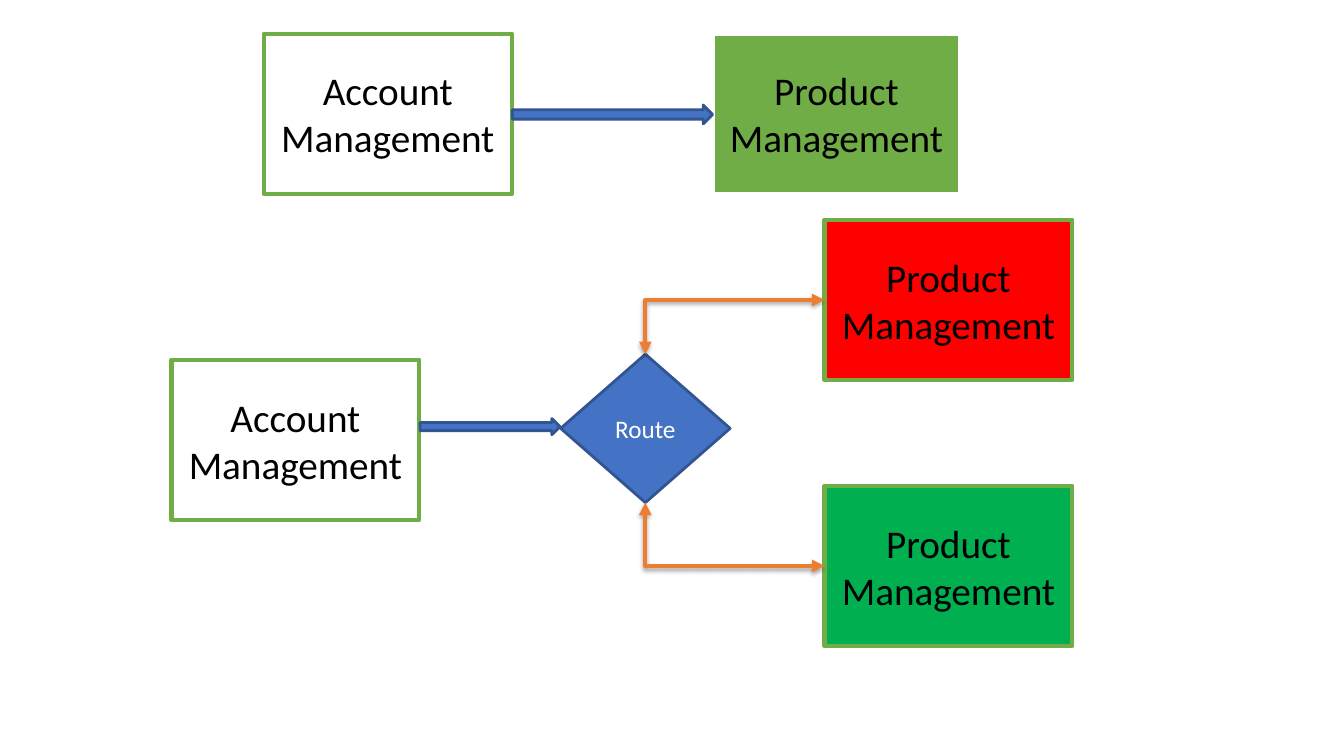
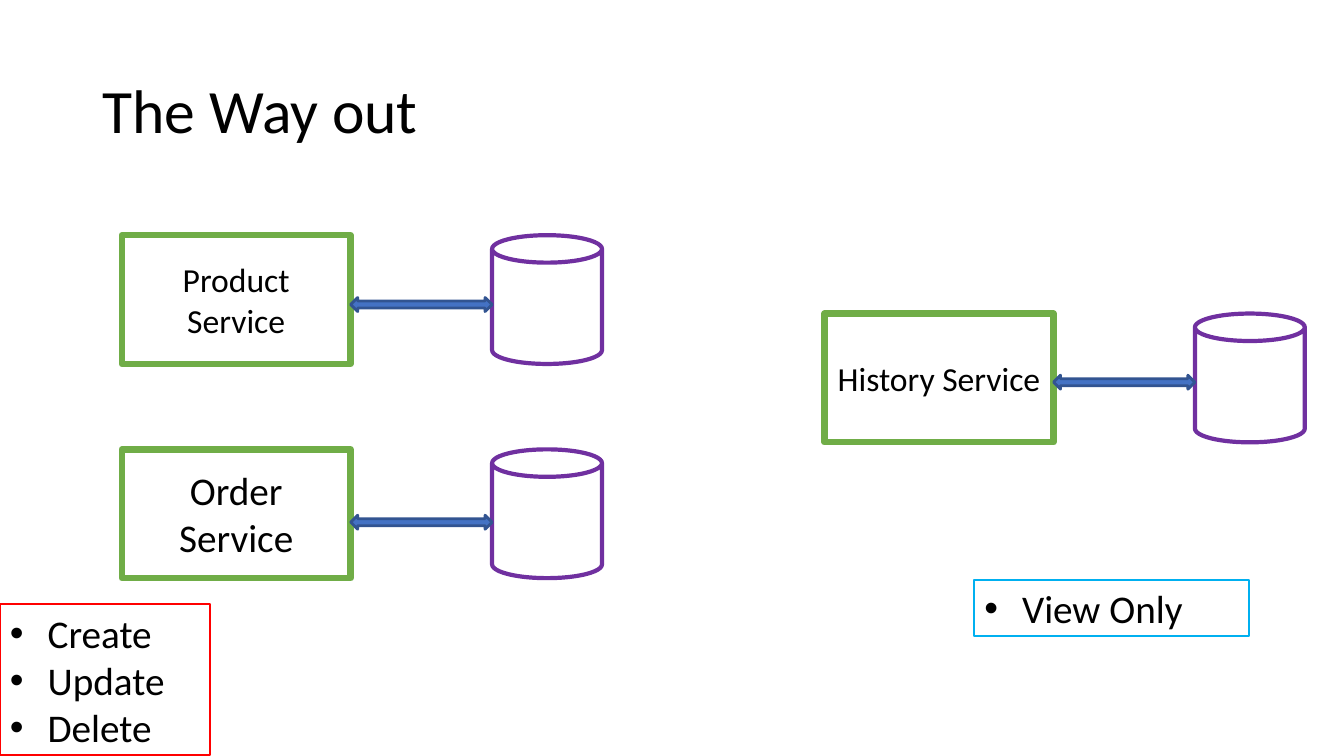
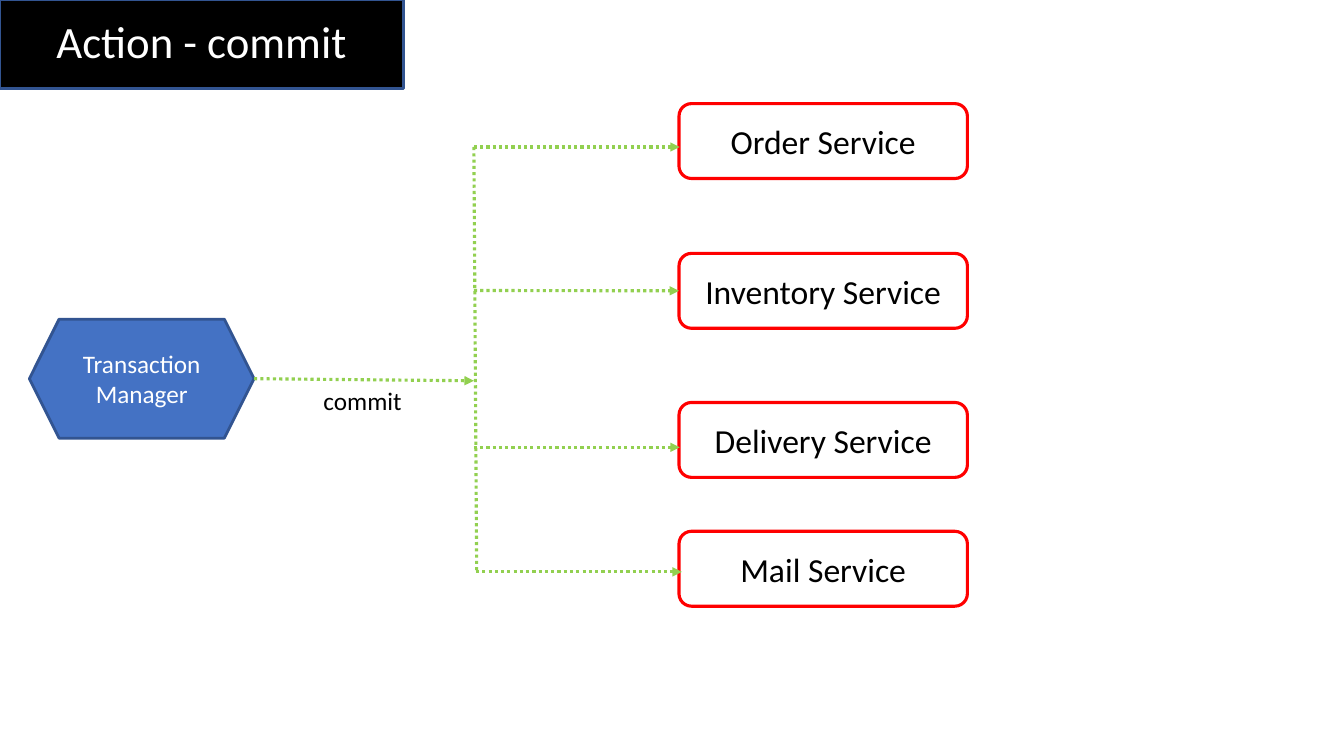
"""Build three slides of service diagrams."""
from dataclasses import dataclass

from lxml import etree
from pptx import Presentation
from pptx import oxml
from pptx.dml.color import RGBColor
from pptx.enum import dml, shapes, text
from pptx.oxml import ns
from pptx.util import Pt

HUES = {
    "white": "FFFFFF", "black": "000000", "leaf": "70AD47", "blue": "4472C4",
    "navy": "325491", "red": "FF0000", "green": "00B050", "orange": "ED7D31",
    "purple": "7030A0", "sky": "00B0F0", "lime": "92D050",
}
FONT = "Calibri"
KIND = shapes.MSO_SHAPE
WIRE = shapes.MSO_CONNECTOR
SIDE = text.PP_ALIGN
SHADE = (
    f'<a:effectLst {ns.nsdecls("a")}><a:outerShdw blurRad="40000" dist="23000" '
    'dir="5400000" rotWithShape="0"><a:srgbClr val="000000"><a:alpha val="35000"/>'
    '</a:srgbClr></a:outerShdw></a:effectLst>'
)


@dataclass(frozen=True)
class Look:
    fill: str | None
    line: str
    width: float
    ink: str = "black"
    size: float = 28


@dataclass(frozen=True)
class Store:
    name: str
    left: float
    top: float
    size: float
    drop: float


@dataclass(frozen=True)
class Branch:
    name: str
    top: float
    left: float
    level: float
    join: bool = False


BLUE = Look("blue", "navy", 2, "white", 18)
OPEN = Look("white", "leaf", 3)
CAN = Look("white", "purple", 3)
PILL = Look("white", "red", 2.25, size=24)
STORES = [
    Store("Product Service", 87, 168, 24, 44.5),
    Store("Order Service", 87, 321, 28, 47),
    Store("History Service", 589, 224, 24, 44),
]
BRANCHES = [
    Branch("Order Service", 74, 338.5, 105),
    Branch("Inventory Service", 181, 338.5, 207.5, True),
    Branch("Delivery Service", 287.5, 338.5, 319.5),
    Branch("Mail Service", 379.5, 340, 408.5),
]


def tint(name: str) -> RGBColor:
    """Return a named colour."""
    return RGBColor.from_string(HUES[name])


def paint(shape, look: Look) -> None:
    """Set the fill and line of a shape."""
    if look.fill:
        shape.fill.solid()
        shape.fill.fore_color.rgb = tint(look.fill)
    else:
        shape.fill.background()
    shape.line.color.rgb = tint(look.line)
    shape.line.width = Pt(look.width)


def write(shape, words: str, size: float, ink: str, side=SIDE.CENTER) -> None:
    """Put formatted text in a shape."""
    frame = shape.text_frame
    frame.text = words
    frame.word_wrap = True
    for para in frame.paragraphs:
        para.alignment = side
        for run in para.runs:
            run.font.name = FONT
            run.font.size = Pt(size)
            run.font.color.rgb = tint(ink)


def add(slide, kind, box: tuple, look: Look, words: str = ""):
    """Draw a preset shape."""
    shape = slide.shapes.add_shape(kind, *map(Pt, box))
    shape.shadow.inherit = False
    paint(shape, look)
    if words:
        write(shape, words, look.size, look.ink)
    return shape


def head(slide, words: str, box: tuple, size: float, ink: str, side):
    """Place and format the title."""
    title = slide.shapes.title
    title.left, title.top, title.width, title.height = map(Pt, box)
    write(title, words, size, ink, side)
    title.text_frame.auto_size = text.MSO_AUTO_SIZE.NONE
    title.text_frame.vertical_anchor = text.MSO_ANCHOR.MIDDLE
    title.text_frame.paragraphs[0].line_spacing = 0.9
    return title


def link(slide, kind, ends: tuple, hue: str, width: float, tips: tuple = (),
         dash=None, shade: bool = False):
    """Draw a connector with optional arrowheads."""
    wire = slide.shapes.add_connector(kind, *map(Pt, ends))
    wire.line.color.rgb = tint(hue)
    wire.line.width = Pt(width)
    if dash:
        wire.line.dash_style = dash
    for tip in tips:
        etree.SubElement(wire.get_or_add_ln(), ns.qn(f"a:{tip}"), type="triangle")
    props = wire.element.spPr
    if shade:
        props.append(oxml.parse_xml(SHADE))
    else:
        etree.SubElement(props, ns.qn("a:effectLst"))
    return wire


def bend(slide, ends: tuple) -> None:
    """Draw a connector with one corner and two heads."""
    wire = link(slide, WIRE.ELBOW, ends, "orange", 3, ("headEnd", "tailEnd"), shade=True)
    wire.element.spPr.find(ns.qn("a:prstGeom")).set("prst", "bentConnector2")


def dots(slide, ends: tuple, tips: tuple = ("tailEnd",)):
    """Draw a dotted line."""
    return link(slide, WIRE.STRAIGHT, ends, "lime", 2.25, tips, dml.MSO_LINE.ROUND_DOT)


def listing(slide, box: tuple, hue: str, words: str) -> None:
    """Draw a framed bullet list."""
    shape = add(slide, KIND.RECTANGLE, box, Look(None, hue, 1.5), words)
    frame = shape.text_frame
    frame.vertical_anchor = text.MSO_ANCHOR.TOP
    frame.auto_size = text.MSO_AUTO_SIZE.SHAPE_TO_FIT_TEXT
    for para in frame.paragraphs:
        para.alignment = SIDE.LEFT
        props = para._p.get_or_add_pPr()
        props.set("marL", str(Pt(27)))
        props.set("indent", str(-Pt(27)))
        etree.SubElement(props, ns.qn("a:buFont"), typeface="Arial")
        etree.SubElement(props, ns.qn("a:buChar"), char="•")


def routes(slide) -> None:
    """Draw the direct and the routed flow."""
    wide, high = 177, 114.5
    for words, left, top, look in (
        ("Product Management", 509, 24, Look("leaf", "white", 3)),
        ("Account Management", 188.5, 24, OPEN),
        ("Product Management", 589, 157, Look("red", "leaf", 3)),
        ("Account Management", 122.5, 257, OPEN),
        ("Product Management", 589, 347, Look("green", "leaf", 3)),
    ):
        add(slide, KIND.RECTANGLE, (left, top, wide, high), look, words)
    add(slide, KIND.DIAMOND, (400.5, 253, 121, 106), BLUE, "Route")
    for box in ((366, 75, 143, 13.5), (300, 299, 100, 11.5)):
        add(slide, KIND.RIGHT_ARROW, box, BLUE)
    for top, tip in ((157, 253), (347, 359)):
        bend(slide, (589, top + high / 2, 461, tip))


def stores(slide) -> None:
    """Draw services, each with its own store."""
    head(slide, "The Way out", (66, 28.8, 828, 104.4), 44, "black", SIDE.LEFT)
    wide, high, gap = 163.5, 92, 101
    for item in STORES:
        look = Look("white", "leaf", 4.5, size=item.size)
        edge = item.left + wide
        add(slide, KIND.RECTANGLE, (item.left, item.top, wide, high), look, item.name)
        add(slide, KIND.CAN, (edge + gap, item.top, 78.5, high), CAN)
        add(slide, KIND.LEFT_RIGHT_ARROW, (edge, item.top + item.drop, gap, 10), BLUE)
    listing(slide, (0, 431.5, 150, 108), "red", "Create\nUpdate\nDelete")
    listing(slide, (696, 414, 196.5, 40.5), "sky", "View Only")


def commit(slide) -> None:
    """Draw the commit sent to every service."""
    band = head(slide, "Action - commit", (0, 0, 288, 63), 32, "white", SIDE.CENTER)
    paint(band, Look("black", "navy", 2))
    add(slide, KIND.HEXAGON, (21, 228, 160.5, 85), BLUE, "Transaction Manager")
    for item in BRANCHES:
        box = add(slide, KIND.ROUNDED_RECTANGLE, (485, item.top, 206, 53.5), PILL, item.name)
        wire = dots(slide, (item.left, item.level, item.left + 147, item.level))
        if item.join:
            wire.end_connect(box, 1)
    dots(slide, (181.5, 270.5, 338.5, 272))
    dots(slide, (338.5, 105, 340.5, 409.5), ())
    label = slide.shapes.add_textbox(*map(Pt, (224, 272, 83.5, 29)))
    write(label, "commit", 18, "black", SIDE.LEFT)


def main() -> None:
    """Build and save the deck."""
    deck = Presentation()
    deck.slide_width, deck.slide_height = Pt(960), Pt(540)
    for layout, draw in ((6, routes), (5, stores), (5, commit)):
        draw(deck.slides.add_slide(deck.slide_layouts[layout]))
    deck.save("out.pptx")


if __name__ == "__main__":
    main()
